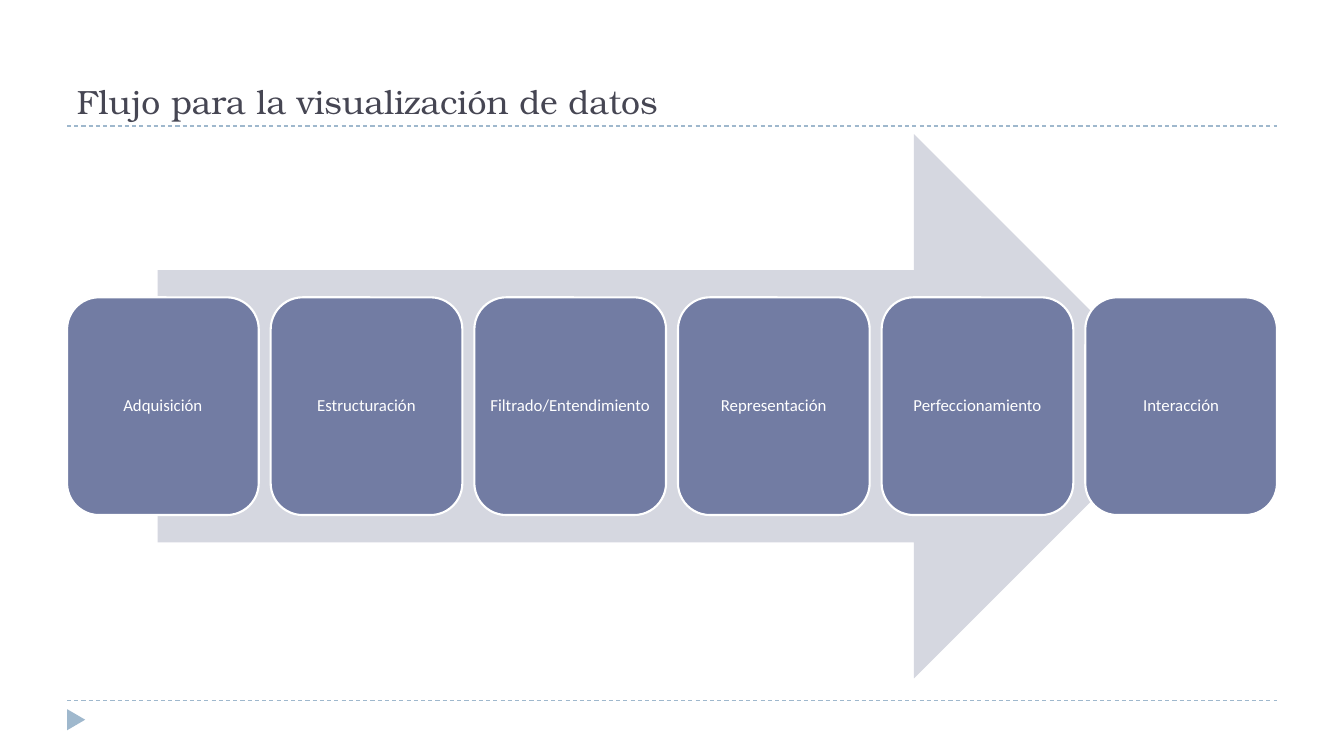
from dataclasses import dataclass

from lxml.etree import SubElement
from pptx import Presentation
from pptx.dml.color import RGBColor
from pptx.enum.dml import MSO_LINE
from pptx.enum.shapes import MSO_CONNECTOR, MSO_SHAPE as Preset
from pptx.enum.text import MSO_ANCHOR as Anchor, PP_ALIGN as Align
from pptx.oxml.ns import qn
from pptx.util import Inches, Pt

TITLE = "Flujo para la visualización de datos"
STAGES = [
    "Adquisición",
    "Estructuración",
    "Filtrado/Entendimiento",
    "Representación",
    "Perfeccionamiento",
    "Interacción",
]


@dataclass(frozen=True)
class Theme:
    ink: str = "464653"
    rule: str = "9FB8CD"
    arrow: str = "D5D7E0"
    stage: str = "727CA3"
    white: str = "FFFFFF"
    title_font: str = "TeX Gyre Bonum"
    stage_font: str = "Calibri"
    title_size: int = 24
    stage_size: int = 12


THEME = Theme()
WIDTH, HEIGHT = 13.33, 7.5
CONTENT_WIDTH = 12
MARGIN = (WIDTH - CONTENT_WIDTH) / 2
TITLE_TOP, TITLE_HEIGHT = 0.17, 1.08
TITLE_RULE, FOOTER_RULE = TITLE_TOP + TITLE_HEIGHT, 6.95
FLOW_TOP, FLOW_HEIGHT = 1.33, 5.4
ARROW_SHARE, STAGE_SHARE, GAP_SHARE = 0.85, 0.4, 1 / 16


def color(value):
    return RGBColor.from_string(value)


def add_rule(page, top):
    rule = page.shapes.add_connector(
        MSO_CONNECTOR.STRAIGHT,
        Inches(MARGIN), Inches(top), Inches(MARGIN + CONTENT_WIDTH), Inches(top),
    )
    rule.line.color.rgb = color(THEME.rule)
    rule.line.width = Pt(0.75)
    rule.line.dash_style = MSO_LINE.DASH
    SubElement(rule._element.spPr, qn("a:effectLst"))


def add_shape(page, preset, left, top, width, height, fill):
    shape = page.shapes.add_shape(
        preset, Inches(left), Inches(top), Inches(width), Inches(height)
    )
    shape.shadow.inherit = False
    shape.fill.solid()
    shape.fill.fore_color.rgb = color(fill)
    shape.line.fill.background()
    return shape


def write(shape, text, font, size, ink, anchor, align):
    frame = shape.text_frame
    frame.text = text
    frame.word_wrap = True
    frame.vertical_anchor = anchor
    para = frame.paragraphs[0]
    para.alignment = align
    span = para.runs[0]
    span.font.name = font
    span.font.size = Pt(size)
    span.font.color.rgb = color(ink)
    return frame


def add_title(page):
    box = page.shapes.add_textbox(
        Inches(MARGIN), Inches(TITLE_TOP), Inches(CONTENT_WIDTH), Inches(TITLE_HEIGHT)
    )
    write(box, TITLE, THEME.title_font, THEME.title_size, THEME.ink,
          Anchor.BOTTOM, Align.LEFT)


def add_flow(page):
    arrow_width = CONTENT_WIDTH * ARROW_SHARE
    add_shape(page, Preset.RIGHT_ARROW, (WIDTH - arrow_width) / 2, FLOW_TOP,
              arrow_width, FLOW_HEIGHT, THEME.arrow)
    count = len(STAGES)
    width = CONTENT_WIDTH / (count + (count - 1) * GAP_SHARE)
    pitch = width * (1 + GAP_SHARE)
    height = FLOW_HEIGHT * STAGE_SHARE
    top = FLOW_TOP + (FLOW_HEIGHT - height) / 2
    for index, stage in enumerate(STAGES):
        box = add_shape(page, Preset.ROUNDED_RECTANGLE, MARGIN + index * pitch, top,
                        width, height, THEME.stage)
        box.line.color.rgb = color(THEME.white)
        box.line.width = Pt(1.5)
        frame = write(box, stage, THEME.stage_font, THEME.stage_size, THEME.white,
                      Anchor.MIDDLE, Align.CENTER)
        frame.margin_left = frame.margin_right = Inches(0.05)
        frame.margin_top = frame.margin_bottom = Inches(0.05)
        frame.paragraphs[0].line_spacing = 0.9


def main():
    deck = Presentation()
    deck.slide_width, deck.slide_height = Inches(WIDTH), Inches(HEIGHT)
    page = deck.slides.add_slide(deck.slide_layouts[6])
    for top in (FOOTER_RULE, TITLE_RULE):
        add_rule(page, top)
    marker = add_shape(page, Preset.ISOSCELES_TRIANGLE, 0.65, 7.05, 0.21, 0.18, THEME.rule)
    marker.rotation = 90
    add_title(page)
    add_flow(page)
    deck.save("out.pptx")


if __name__ == "__main__":
    main()
